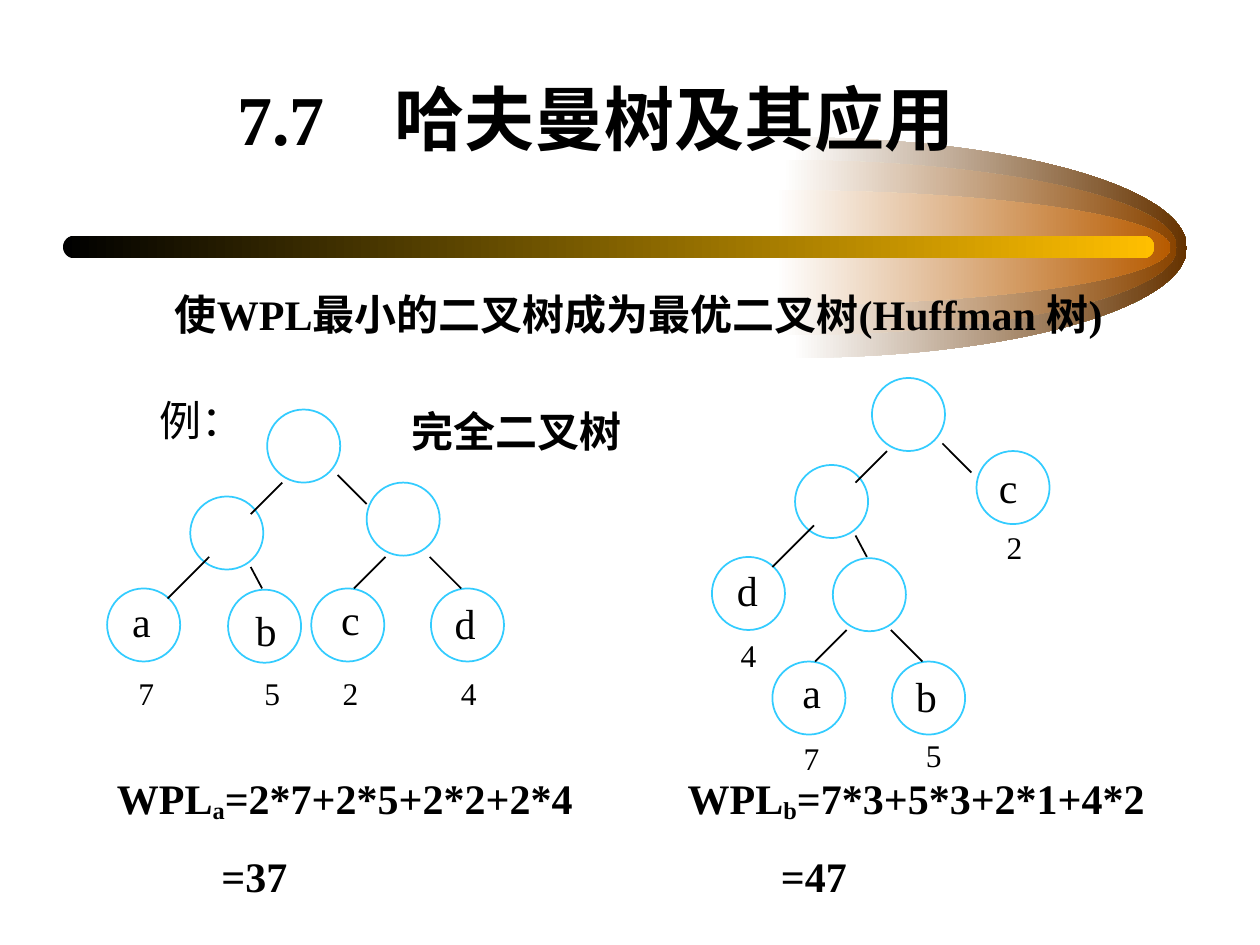
from lxml.etree import SubElement
from pptx import Presentation
from pptx.dml.color import RGBColor
from pptx.enum.shapes import MSO_CONNECTOR, MSO_SHAPE
from pptx.enum.text import MSO_ANCHOR, PP_ALIGN
from pptx.oxml.ns import qn
from pptx.util import Inches, Pt

FONT = "Times New Roman"
COLORS = {
    "text": "000000", "node": "33CCFF", "edge": "000000", "fade": "FFFFFF",
    "outer": "663300", "middle": "894400", "inner": "B75B00",
    "bar_start": "000000", "bar_end": "FFBF00",
}
NODE = 0.58
ARC = 0.55  # handle length of a quarter-ellipse curve

# Both trees share a left stem and a fork, moved to different places
STEM_NODES = [(2.12, 3.25), (1.51, 3.94), (0.85, 4.67), (1.81, 4.68)]
STEM_EDGES = [(2.24, 3.83, 1.99, 4.08), (1.66, 4.42, 1.33, 4.75),
              (2.68, 3.77, 2.91, 4), (1.99, 4.5, 2.08, 4.67)]
FORK_NODES = [(2.47, 4.67), (3.42, 4.67)]
FORK_EDGES = [(3.06, 4.42, 2.81, 4.67), (3.41, 4.42, 3.66, 4.67)]

LETTERS = [("a", 0.95, 4.68), ("b", 1.93, 4.75), ("c", 2.61, 4.66),
           ("d", 3.51, 4.69), ("c", 7.83, 3.61), ("d", 5.75, 4.43),
           ("a", 6.27, 5.24), ("b", 7.17, 5.27)]
RIGHT_WEIGHTS = [("2", 7.89, 4.14), ("4", 5.78, 5), ("7", 6.28, 5.82),
                 ("5", 7.25, 5.79)]


class SlideBuilder:
    def __init__(self, s):
        self.s = s

    def color(self, name):
        return RGBColor.from_string(COLORS[name])

    def format(self, p, size, bold=False):
        for r in p.runs:
            r.font.name = FONT
            r.font.size = Pt(size)
            r.font.bold = bold
            r.font.color.rgb = self.color("text")

    def tabs(self, p, stops):
        tab_list = SubElement(p._p.get_or_add_pPr(), qn("a:tabLst"))
        for stop in stops:
            SubElement(tab_list, qn("a:tab"), pos=str(Inches(stop)), algn="l")

    def gradient(self, sp, start, end):
        sp.shadow.inherit = False
        sp.line.fill.background()
        sp.fill.gradient()
        sp.fill.gradient_angle = 0
        for stop, name in zip(sp.fill.gradient_stops, (start, end)):
            stop.color.rgb = self.color(name)

    def half_ellipse(self, x, y, w, h, name):
        fb = self.s.shapes.build_freeform(Inches(x), Inches(y))
        fb.add_line_segments([(Inches(x + w), Inches(y + h / 2)),
                              (Inches(x), Inches(y + h))], close=True)
        sp = fb.convert_to_shape()
        # Bend the two straight sides into quarter ellipses
        r = h / 2
        curves = [[(w * ARC, 0), (w, r * (1 - ARC)), (w, r)],
                  [(w, r * (1 + ARC)), (w * ARC, h), (0, h)]]
        sides = list(sp._element.iter(qn("a:lnTo")))
        for side, curve in zip(sides, curves):
            side.tag = qn("a:cubicBezTo")
            side.remove(side[0])
            for px, py in curve:
                SubElement(side, qn("a:pt"), x=str(Inches(px)), y=str(Inches(py)))
        self.gradient(sp, "fade", name)

    def bar(self, x, y, w, h):
        sp = self.s.shapes.add_shape(MSO_SHAPE.ROUNDED_RECTANGLE, Inches(x),
                                     Inches(y), Inches(w), Inches(h))
        sp.adjustments[0] = 0.5
        self.gradient(sp, "bar_start", "bar_end")

    def title(self, text, x, y, w, h):
        sp = self.s.shapes.title
        self.s.shapes._spTree.append(sp._element)  # in front of the decoration
        sp.left, sp.top, sp.width, sp.height = map(Inches, (x, y, w, h))
        tf = sp.text_frame
        tf.text = text
        tf.vertical_anchor = MSO_ANCHOR.BOTTOM
        tf.paragraphs[0].alignment = PP_ALIGN.LEFT
        self.format(tf.paragraphs[0], 40, True)

    def text(self, text, x, y, w, h=0.5, size=24, bold=False, wrap=True):
        tb = self.s.shapes.add_textbox(Inches(x), Inches(y), Inches(w), Inches(h))
        tf = tb.text_frame
        tf.word_wrap = wrap
        tf.text = text
        self.format(tf.paragraphs[0], size, bold)
        return tf

    def formulas(self, parts, totals, x, y, w, h):
        tf = self.text(parts[0], x, y, w, h)
        p = tf.paragraphs[0]
        for part in parts[1:]:
            p.add_run().text = part
        for r in p.runs[1::2]:
            r.font._element.set("baseline", "-12000")
        self.format(p, 24, True)
        self.tabs(p, [4.53])
        p = tf.add_paragraph()
        p.text = totals
        p.space_before = Pt(15)
        self.format(p, 24, True)
        self.tabs(p, [0.83, 5.27])

    def node(self, x, y):
        sp = self.s.shapes.add_shape(MSO_SHAPE.OVAL, Inches(x), Inches(y),
                                     Inches(NODE), Inches(NODE))
        sp.shadow.inherit = False
        sp.fill.background()
        sp.line.color.rgb = self.color("node")
        sp.line.width = Pt(1)

    def edge(self, x1, y1, x2, y2):
        c = self.s.shapes.add_connector(MSO_CONNECTOR.STRAIGHT, Inches(x1),
                                        Inches(y1), Inches(x2), Inches(y2))
        c.line.color.rgb = self.color("edge")
        c.line.width = Pt(1)
        SubElement(c._element.spPr, qn("a:effectLst"))

    def branch(self, nodes, edges, dx=0, dy=0):
        for x, y in nodes:
            self.node(x + dx, y + dy)
        for x1, y1, x2, y2 in edges:
            self.edge(x1 + dx, y1 + dy, x2 + dx, y2 + dy)


def main():
    prs = Presentation()
    prs.slide_width, prs.slide_height = Inches(10), Inches(7.5)
    b = SlideBuilder(prs.slides.add_slide(prs.slide_layouts[5]))

    # Decoration behind the title
    b.half_ellipse(6.29, 1.09, 3.13, 1.75, "outer")
    b.half_ellipse(6.21, 1.27, 3.13, 1.39, "middle")
    b.half_ellipse(6.16, 1.51, 3.13, 0.91, "inner")
    b.bar(0.5, 1.87, 8.66, 0.18)

    # Title and statements
    b.title("　7.7　哈夫曼树及其应用", 1.23, 0.4, 7.46, 0.92)
    b.text("例：", 1.17, 3.08, 0.86, wrap=False)
    b.text("使WPL最小的二叉树成为最优二叉树(Huffman 树)",
           1.29, 2.24, 7.71, 0.9, bold=True)
    b.text("完全二叉树", 3.17, 3.17, 2.17, bold=True)

    # Left tree
    b.branch(STEM_NODES, STEM_EDGES)
    b.node(2.91, 3.83)
    b.branch(FORK_NODES, FORK_EDGES)

    # Right tree
    b.branch(STEM_NODES, STEM_EDGES, 4.8, -0.25)
    b.node(7.75, 3.58)
    b.branch(FORK_NODES, FORK_EDGES, 3.66, 0.58)

    # Leaf letters and weights
    for letter, x, y in LETTERS:
        b.text(letter, x, y, 0.42)
    tf = b.text("7\t5\t2\t4", 1, 5.3, 3.08, 0.4, size=18)
    b.tabs(tf.paragraphs[0], [1, 1.62, 2.56])
    for weight, x, y in RIGHT_WEIGHTS:
        b.text(weight, x, y, 0.32, 0.4, size=18, wrap=False)

    # Weighted path lengths
    b.formulas(["WPL", "a", "=2*7+2*5+2*2+2*4\tWPL", "b", "=7*3+5*3+2*1+4*2"],
               "\t=37\t=47", 0.83, 6.08, 8.83, 1.12)

    prs.save("out.pptx")


if __name__ == "__main__":
    main()
